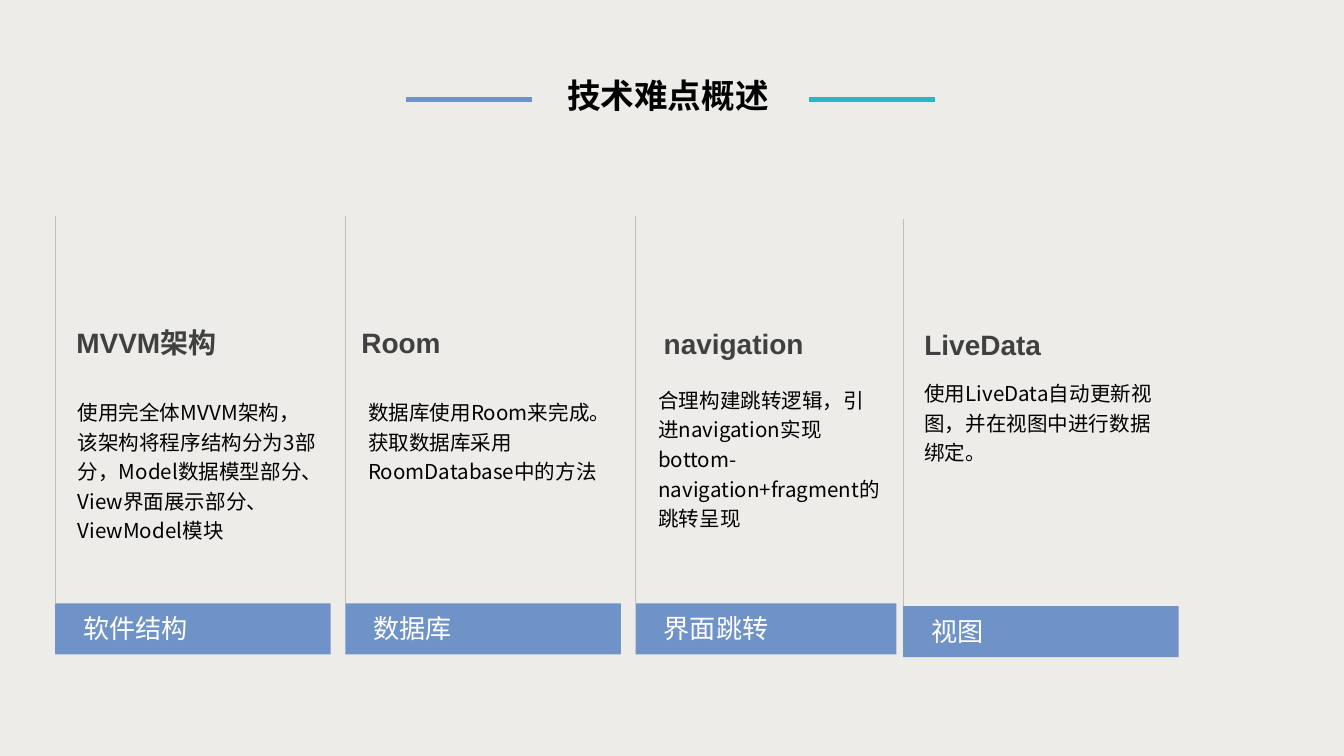
"""Build the slide that outlines four technical challenges in columns."""
from lxml.etree import SubElement
from pptx import Presentation
from pptx.dml.color import RGBColor
from pptx.enum.shapes import MSO_CONNECTOR, MSO_SHAPE
from pptx.enum.text import MSO_ANCHOR, PP_ALIGN
from pptx.oxml.ns import qn
from pptx.util import Inches, Pt

BACKGROUND = RGBColor(0xEE, 0xEC, 0xE8)
BLUE = RGBColor(0x6F, 0x93, 0xC6)
TEAL = RGBColor(0x2A, 0xB7, 0xC2)
RULE_GRAY = RGBColor(0xBF, 0xBF, 0xBF)
HEADING_GRAY = RGBColor(0x40, 0x40, 0x40)
BLACK = RGBColor(0, 0, 0)
WHITE = RGBColor(0xFF, 0xFF, 0xFF)
CJK = "Noto Sans CJK SC"


def add_line(x1, y1, x2, y2, color, width):
    line = slide.shapes.add_connector(
        MSO_CONNECTOR.STRAIGHT, Inches(x1), Inches(y1), Inches(x2), Inches(y2))
    line.line.color.rgb = color
    line.line.width = Pt(width)
    SubElement(line._element.spPr, qn("a:effectLst"))


def write(sp, box, text, size, font, color, bold=False, spacing=1.0):
    sp.left, sp.top, sp.width, sp.height = [Inches(v) for v in box]
    tf = sp.text_frame
    tf.word_wrap = True
    tf.vertical_anchor = MSO_ANCHOR.TOP
    p = tf.paragraphs[0]
    p.text = text
    p.alignment = PP_ALIGN.LEFT
    p.line_spacing = spacing
    p.font.size = Pt(size)
    p.font.bold = bold
    p.font.color.rgb = color
    p.font.name = font
    props = p._p.get_or_add_pPr().find(qn("a:defRPr"))
    SubElement(props, qn("a:ea"), typeface=CJK)


prs = Presentation()
prs.slide_width = Inches(10)
prs.slide_height = prs.slide_width * 9 // 16
slide = prs.slides.add_slide(prs.slide_layouts[5])
slide.background.fill.solid()
slide.background.fill.fore_color.rgb = BACKGROUND

write(slide.shapes.title, (4.12, 0.51, 1.74, 0.4), "技术难点概述", 18, CJK, BLACK, bold=True)
for x, color in ((3.02, BLUE), (6.02, TEAL)):
    add_line(x, 0.74, x + 0.94, 0.74, color, 2.5)

columns = [
    (0.41, 1.61, 2.05, "MVVM架构", 0.47, 2.37,
     "使用完全体MVVM架构，该架构将程序结构分为3部分，Model数据模型部分、View界面展示部分、ViewModel模块",
     0.48, 2.89, 1.2, "软件结构"),
    (2.57, 1.61, 2.05, "Room", 2.59, 2.37,
     "数据库使用Room来完成。获取数据库采用RoomDatabase中的方法",
     2.64, 2.89, 0.75, "数据库"),
    (4.73, 1.61, 1.94, "navigation", 4.84, 2.38,
     "合理构建跳转逻辑，引进navigation实现bottom-navigation+fragment的跳转呈现",
     4.8, 2.8, 1.2, "界面跳转"),
    (6.72, 1.63, 2.05, "LiveData", 6.78, 2.39,
     "使用LiveData自动更新视图，并在视图中进行数据绑定。",
     6.78, 2.75, 0.75, "视图"),
]

for (x, top, width, heading, heading_x, heading_y,
     body, body_x, body_y, body_height, label) in columns:
    bar_top = top + 2.88
    text_width = width - 0.08
    add_line(x, top, x, bar_top, RULE_GRAY, 0.5)

    bar = slide.shapes.add_shape(
        MSO_SHAPE.RECTANGLE, Inches(x), Inches(bar_top), Inches(width), Inches(0.38))
    bar.shadow.inherit = False
    bar.fill.solid()
    bar.fill.fore_color.rgb = BLUE
    bar.line.fill.background()

    for box, text, size, font, color, bold, spacing in (
        ((heading_x, heading_y, text_width, 0.35), heading, 15, "Arial", HEADING_GRAY, True, 1.0),
        ((body_x, body_y, text_width, body_height), body, 11, CJK, BLACK, False, 1.2),
        ((x + 0.11, bar_top + 0.02, text_width, 0.34), label, 14, "Arial", WHITE, False, 1.0),
    ):
        sp = slide.shapes.add_textbox(0, 0, 0, 0)
        write(sp, box, text, size, font, color, bold, spacing)

prs.save("out.pptx")
